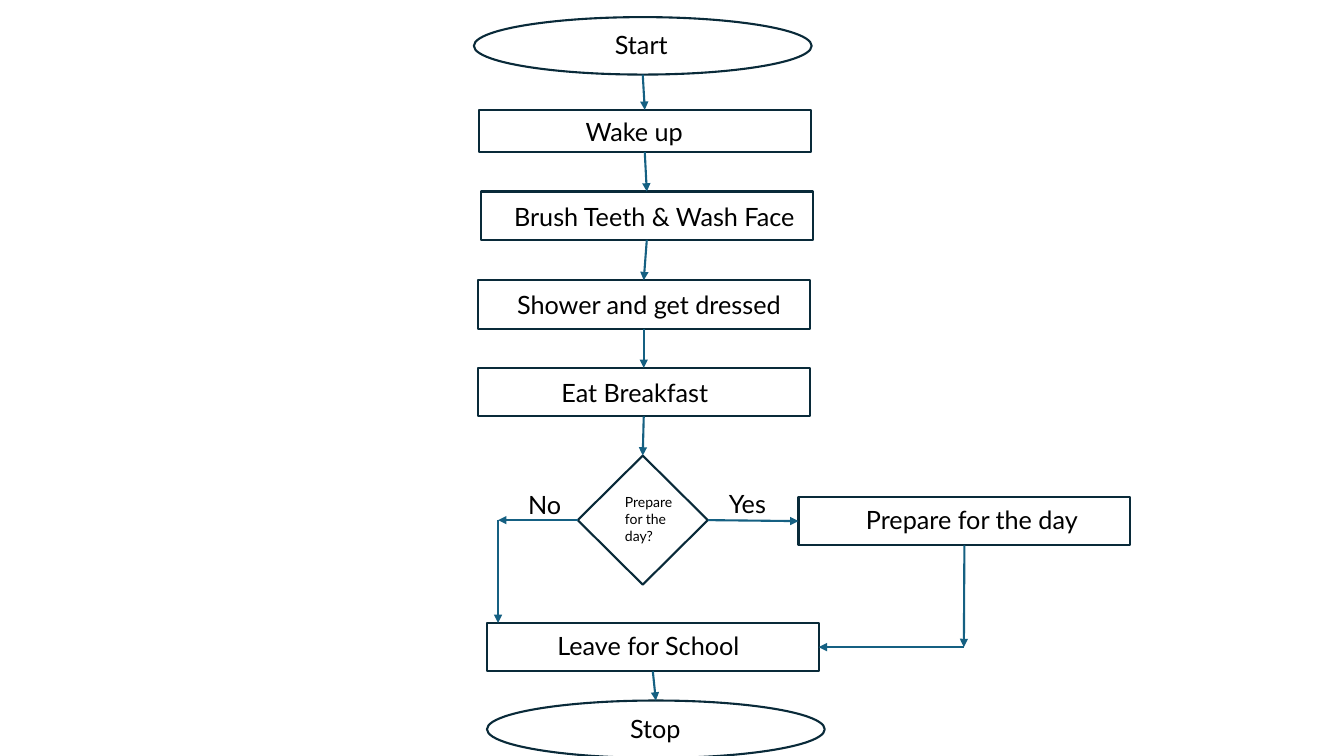
from pptx import Presentation
from pptx.dml.color import RGBColor
from pptx.enum.shapes import MSO_CONNECTOR as CONN, MSO_SHAPE as SHAPE
from pptx.enum.text import MSO_AUTO_SIZE as AUTO
from pptx.oxml.ns import qn
from pptx.util import Inches, Pt
from lxml import etree

OUTLINE = "092A39"
ARROW = "156082"
BLACK = "000000"
FONT = "Lato"
BOX_W, BOX_H = 3.29, 0.48
OVAL_W, OVAL_H = 3.35, 0.57
TOP, LEFT, BOTTOM, RIGHT = range(4)


def rgb(color):
    return RGBColor.from_string(color)


def add_node(s, kind, x, y, w=BOX_W, h=BOX_H):
    node = s.shapes.add_shape(kind, Inches(x), Inches(y), Inches(w), Inches(h))
    node.shadow.inherit = False
    node.fill.background()
    node.line.color.rgb = rgb(OUTLINE)
    node.line.width = Pt(1.5)
    return node


def add_label(s, text, x, y, w, h=0.4, size=18):
    tb = s.shapes.add_textbox(Inches(x), Inches(y), Inches(w), Inches(h))
    tf = tb.text_frame
    tf.word_wrap = True
    tf.auto_size = AUTO.SHAPE_TO_FIT_TEXT
    tf.text = text
    font = tf.paragraphs[0].runs[0].font
    font.name = FONT
    font.size = Pt(size)
    font.color.rgb = rgb(BLACK)


def add_arrow(s, start=(0, 0), end=(0, 0), source=None, target=None):
    points = [Inches(v) for v in (*start, *end)]
    arrow = s.shapes.add_connector(CONN.STRAIGHT, *points)
    if source:
        arrow.begin_connect(*source)
    if target:
        arrow.end_connect(*target)
    arrow.line.color.rgb = rgb(ARROW)
    arrow.line.width = Pt(1.5)
    ln = arrow.line._get_or_add_ln()
    etree.SubElement(ln, qn("a:tailEnd"), type="triangle")
    etree.SubElement(arrow._element.spPr, qn("a:effectLst"))


def main():
    prs = Presentation()
    prs.slide_width = Inches(13.33)
    prs.slide_height = Inches(7.5)
    s = prs.slides.add_slide(prs.slide_layouts[6])

    start = add_node(s, SHAPE.OVAL, 4.7, 0.17, OVAL_W, OVAL_H)
    wake = add_node(s, SHAPE.RECTANGLE, 4.75, 1.09, h=0.42)
    brush = add_node(s, SHAPE.RECTANGLE, 4.77, 1.9)
    shower = add_node(s, SHAPE.RECTANGLE, 4.74, 2.78)
    eat = add_node(s, SHAPE.RECTANGLE, 4.74, 3.65)
    decision = add_node(s, SHAPE.DIAMOND, 5.73, 4.52, 1.29, 1.28)
    prepare = add_node(s, SHAPE.RECTANGLE, 7.92, 4.93)
    leave = add_node(s, SHAPE.RECTANGLE, 4.83, 6.18)
    stop = add_node(s, SHAPE.OVAL, 4.83, 6.95, OVAL_W, OVAL_H)

    morning = [start, wake, brush, shower, eat, decision]
    for upper, lower in [*zip(morning, morning[1:]), (leave, stop)]:
        # glue bottom centre to top centre
        add_arrow(s, source=(upper, BOTTOM), target=(lower, TOP))

    no_corner, yes_corner = (4.94, 5.16), (9.56, 6.42)
    add_arrow(s, end=no_corner, source=(decision, LEFT))
    add_arrow(s, no_corner, (4.94, 6.18))
    add_arrow(s, source=(decision, RIGHT), target=(prepare, LEFT))
    add_arrow(s, end=yes_corner, source=(prepare, BOTTOM))
    add_arrow(s, yes_corner, target=(leave, RIGHT))

    for text, x, y, w in [
        ("Start", 6, 0.24, 1.65),
        ("Wake up", 5.71, 1.1, 3.19),
        ("Brush Teeth & Wash Face", 5, 1.95, 3.09),
        ("Shower and get dressed", 5.03, 2.82, 3.09),
        ("Eat Breakfast", 5.47, 3.69, 3.09),
        ("Yes", 7.13, 4.8, 0.79),
        ("No", 5.14, 4.81, 0.79),
        ("Prepare for the day", 8.49, 4.95, 3),
        ("Leave for School", 5.43, 6.2, 2.34),
        ("Stop", 6.15, 7.03, 0.79),
    ]:
        add_label(s, text, x, y, w)
    add_label(s, "Prepare for the day?", 6.1, 4.85, 0.81, 0.61, size=10)

    prs.save("out.pptx")


if __name__ == "__main__":
    main()
